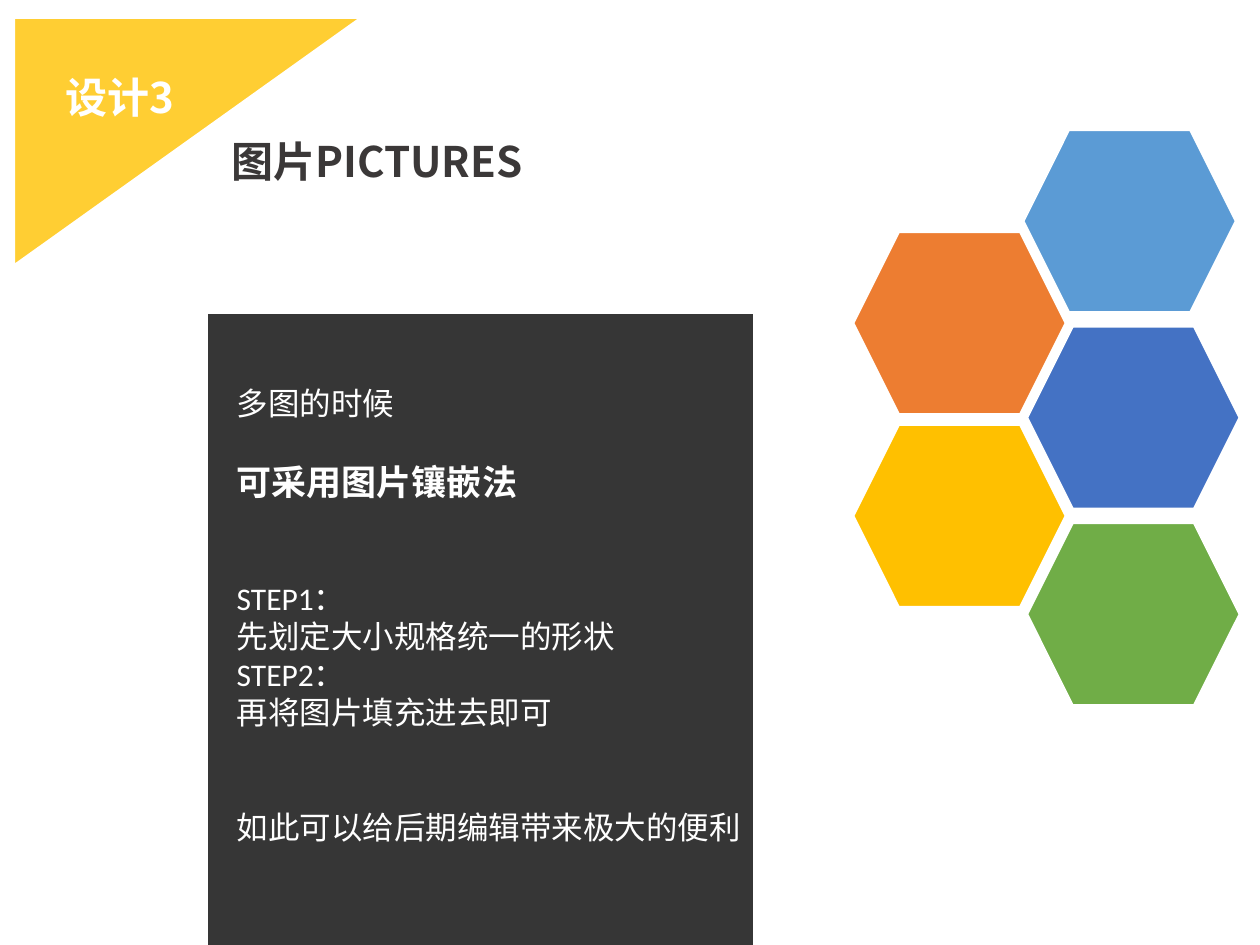
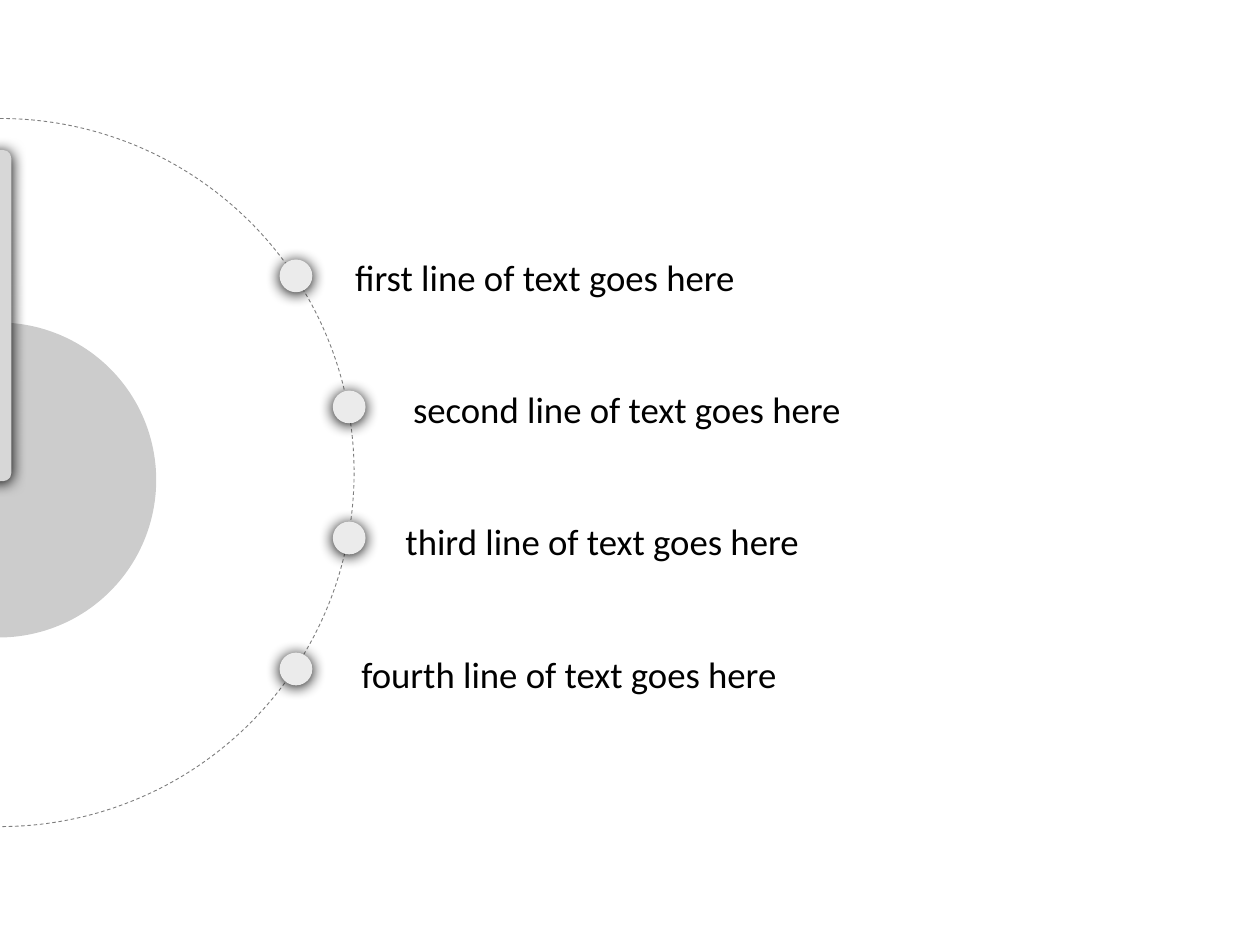
import math
from lxml import etree
from pptx import Presentation
from pptx.dml.color import RGBColor
from pptx.enum import dml, shapes, text
from pptx.oxml.ns import qn
from pptx.util import Inches, Pt

BLACK = RGBColor(0x00, 0x00, 0x00)
WHITE = RGBColor(0xFF, 0xFF, 0xFF)
CHARCOAL = RGBColor(0x3B, 0x38, 0x38)
GOLD = RGBColor(0xFF, 0xCE, 0x33)
BLUE = RGBColor(0x5B, 0x9B, 0xD5)
ORANGE = RGBColor(0xED, 0x7D, 0x31)
INDIGO = RGBColor(0x44, 0x72, 0xC4)
AMBER = RGBColor(0xFF, 0xC0, 0x00)
GREEN = RGBColor(0x70, 0xAD, 0x47)
DOT_GREY = RGBColor(0xEB, 0xEB, 0xEB)
BAR_GREY = RGBColor(0xD7, 0xD7, 0xD7)
RING_GREY = RGBColor(0x7D, 0x7D, 0x7D)
SANS, CJK = "Calibri", "Noto Sans CJK SC"
SHAPE = shapes.MSO_SHAPE

# Content
CORNER_LABEL = "设计3"
HEADING = "图片PICTURES"
ADVICE = [  # text, size, bold, space before in points
    ("多图的时候", 18, False, 0),
    ("可采用图片镶嵌法", 20, True, 22),
    ("STEP1：", 18, False, 44),
    ("先划定大小规格统一的形状", 18, False, 0),
    ("STEP2：", 18, False, 0),
    ("再将图片填充进去即可", 18, False, 0),
    ("如此可以给后期编辑带来极大的便利", 18, False, 44),
]
HEXAGONS = [  # left, top, colour
    (8.12, 1.03, BLUE),
    (6.77, 3.37, AMBER),
    (8.15, 2.59, INDIGO),
    (6.77, 1.84, ORANGE),
    (8.15, 4.15, GREEN),
]
DIAL_LINES = [  # text, left
    ("first line of text goes here", 2.72),
    ("second line of text goes here", 3.18),
    ("third line of text goes here", 3.12),
    ("fourth line of text goes here", 2.77),
]


def add_shape(slide, kind, box, fill, alpha=None, line=None, width=1.5,
              dash=None, adj=(), shadow=False):
    sp = slide.shapes.add_shape(kind, *map(Inches, box))
    sp.shadow.inherit = False
    for i, value in enumerate(adj):
        sp.adjustments[i] = value
    sp.fill.solid()
    sp.fill.fore_color.rgb = fill
    spPr = sp._element.spPr
    if alpha is not None:
        clr = spPr.find(qn("a:solidFill")).find(qn("a:srgbClr"))
        etree.SubElement(clr, qn("a:alpha"), val=str(alpha * 1000))
    if line is None:
        sp.line.fill.background()
    else:
        sp.line.color.rgb = line
        sp.line.width = Pt(width)
        if dash:
            sp.line.dash_style = dash
    if shadow:
        outer = etree.SubElement(
            spPr.find(qn("a:effectLst")), qn("a:outerShdw"),
            blurRad=str(Pt(8.5)), dist=str(Pt(1)), dir="5400000",
            algn="ctr", rotWithShape="0")
        etree.SubElement(outer, qn("a:srgbClr"), val=str(BLACK))
    return sp


def add_text(slide, box, paragraphs, color=BLACK, font=SANS,
             anchor=text.MSO_ANCHOR.TOP):
    """Write paragraphs given as (text, size, bold, space before)."""
    tf = slide.shapes.add_textbox(*map(Inches, box)).text_frame
    tf.word_wrap = True
    tf.auto_size = text.MSO_AUTO_SIZE.SHAPE_TO_FIT_TEXT
    tf.vertical_anchor = anchor
    for i, (words, size, bold, before) in enumerate(paragraphs):
        p = tf.add_paragraph() if i else tf.paragraphs[0]
        if before:
            p.space_before = Pt(before)
        r = p.add_run()
        r.text = words
        r.font.size, r.font.bold, r.font.name = Pt(size), bold, font
        r.font.color.rgb = color
        etree.SubElement(r._r.get_or_add_rPr(), qn("a:ea"), typeface=CJK)


def build_pictures(slide):
    # Dark panel and corner triangle
    add_shape(slide, SHAPE.RECTANGLE, (1.64, 2.48, 4.35, 5.16), BLACK,
              alpha=79, line=WHITE)
    corner = add_shape(slide, SHAPE.RIGHT_TRIANGLE, (0.11, 0.14, 2.76, 1.97),
                       GOLD, line=WHITE)
    corner._element.spPr.xfrm.set("flipV", "1")

    # Honeycomb
    for left, top, color in HEXAGONS:
        add_shape(slide, SHAPE.HEXAGON, (left, top, 1.69, 1.45), color,
                  line=WHITE)

    # Titles and advice
    add_text(slide, (0.42, 0.52, 1.32, 0.5), [(CORNER_LABEL, 24, True, 0)],
             color=WHITE, font=CJK)
    add_text(slide, (1.74, 1.03, 2.7, 0.5), [(HEADING, 24, True, 0)],
             color=CHARCOAL, font=CJK)
    add_text(slide, (1.78, 3, 4.35, 3.77), ADVICE, color=WHITE)


def build_dial(slide):
    # Dashed half ring, centred on the slide's left edge
    radius, center_y = 2.81, 3.75
    half_turn = (162, 54)  # 270 to 90 degrees
    add_shape(slide, SHAPE.ARC,
              (-radius, center_y - radius, 2 * radius, 2 * radius), WHITE,
              line=RING_GREY, width=0.5, dash=dml.MSO_LINE.DASH,
              adj=half_turn)

    # Lines of text, each with a dot on the ring
    dot, dot_pitch, orbit = 0.26, 1.04, 2.82
    for i, (words, left) in enumerate(DIAL_LINES):
        add_text(slide, (left, 1.97 + 1.05 * i, 6, 0.45),
                 [(words, 21, False, 0)], anchor=text.MSO_ANCHOR.MIDDLE)
        dy = (i - (len(DIAL_LINES) - 1) / 2) * dot_pitch
        dx = math.sqrt(orbit ** 2 - dy ** 2)
        add_shape(slide, SHAPE.OVAL,
                  (dx - dot / 2, center_y + dy - dot / 2, dot, dot),
                  DOT_GREY, shadow=True)

    # Hub and needle
    add_shape(slide, SHAPE.ARC, (-1.26, 2.56, 2.5, 2.5), BLACK, alpha=20,
              adj=half_turn)
    add_shape(slide, SHAPE.ROUNDED_RECTANGLE, (-0.1, 1.19, 0.19, 2.63),
              BAR_GREY, adj=(0.35,), shadow=True)


def main():
    prs = Presentation()
    prs.slide_width, prs.slide_height = Inches(10), Inches(7.5)
    for build in (build_pictures, build_dial):
        build(prs.slides.add_slide(prs.slide_layouts[6]))
    prs.save("out.pptx")


if __name__ == "__main__":
    main()
